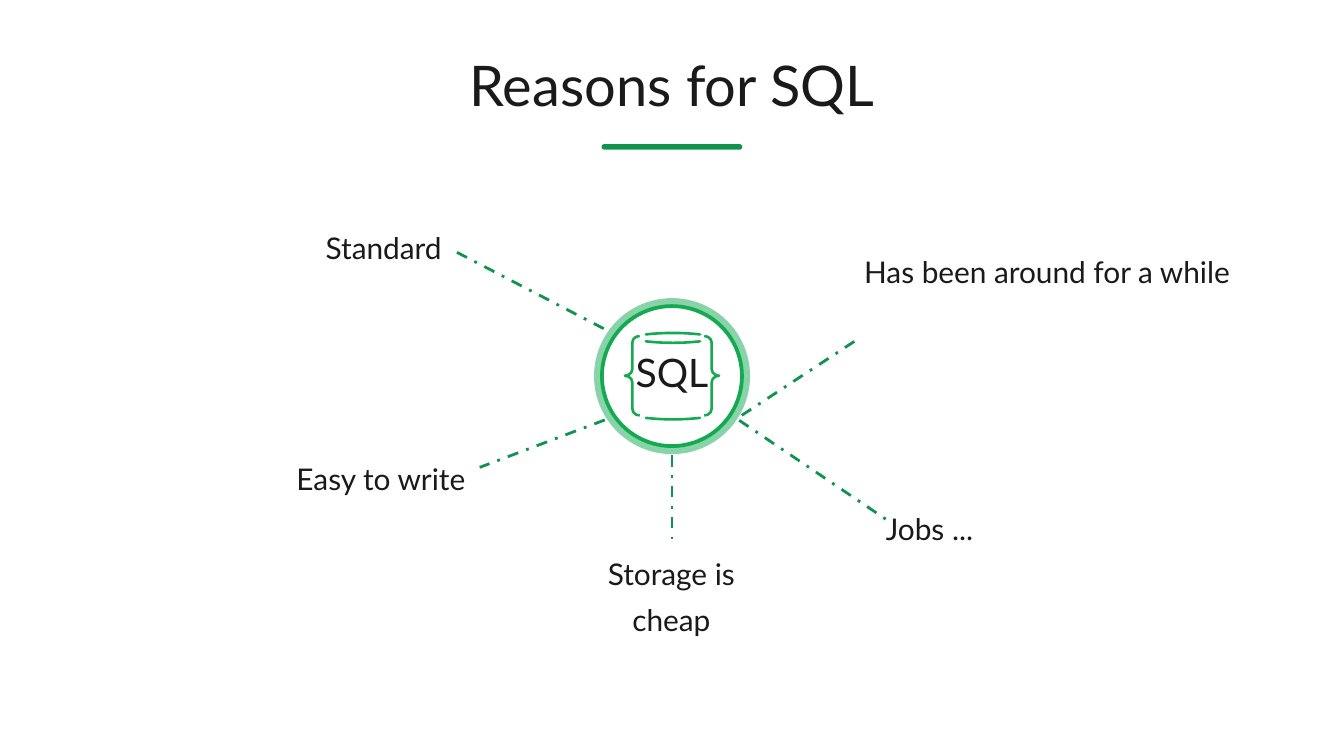
"""Build a slide with five reasons for SQL around a central badge."""
from dataclasses import dataclass

from lxml import etree
from pptx import Presentation
from pptx import util as u
from pptx.dml.color import RGBColor
from pptx.enum import dml, shapes, text
from pptx.oxml import ns

Pt = u.Pt


@dataclass(frozen=True)
class Theme:
    ink: RGBColor = RGBColor(0x1A, 0x1A, 0x1A)
    paper: RGBColor = RGBColor(0xFF, 0xFF, 0xFF)
    dark: RGBColor = RGBColor(0x12, 0x92, 0x4F)
    green: RGBColor = RGBColor(0x13, 0xAA, 0x52)
    pale: RGBColor = RGBColor(0x88, 0xD4, 0xA8)
    font: str = "Lato"
    title: int = 30
    badge: int = 21
    label: int = 16


theme = Theme()


def write(box, words, size, align, spacing=1.0):
    frame = box.text_frame
    frame.word_wrap = True
    frame.auto_size = text.MSO_AUTO_SIZE.NONE
    frame.vertical_anchor = text.MSO_ANCHOR.TOP
    frame.margin_left = frame.margin_right = Pt(3)
    frame.margin_top = frame.margin_bottom = Pt(3)
    para = frame.paragraphs[0]
    para.alignment = align
    para.line_spacing = spacing
    span = para.add_run()
    span.text = words
    span.font.name = theme.font
    span.font.size = Pt(size)
    span.font.color.rgb = theme.ink


def paint(shape, fill=None, line=None, width=0):
    shape.shadow.inherit = False
    if fill is None:
        shape.fill.background()
    else:
        shape.fill.solid()
        shape.fill.fore_color.rgb = fill
    if line is None:
        shape.line.fill.background()
    else:
        shape.line.color.rgb = line
        shape.line.width = Pt(width)


deck = Presentation()
deck.slide_width, deck.slide_height = Pt(720), Pt(405)
page = deck.slides.add_slide(deck.slide_layouts[5])
left, center, right = text.PP_ALIGN.LEFT, text.PP_ALIGN.CENTER, text.PP_ALIGN.RIGHT

title = page.shapes.title
title.left, title.top, title.width, title.height = Pt(34.5), Pt(24), Pt(651), Pt(40)
write(title, "Reasons for SQL", theme.title, center)

underline = page.shapes.add_shape(
    shapes.MSO_SHAPE.ROUNDED_RECTANGLE, Pt(322.3), Pt(77.2), Pt(75.4), Pt(3))
underline.adjustments[0] = 0.5
paint(underline, theme.dark)

for diameter, color, width in [(78.6, theme.pale, 5), (75, theme.green, 2)]:
    ring = page.shapes.add_shape(
        shapes.MSO_SHAPE.OVAL, Pt(360 - diameter / 2), Pt(201.5 - diameter / 2),
        Pt(diameter), Pt(diameter))
    paint(ring, theme.paper, color, width)

spokes = [
    (397.4, 222.5, 460, 181.4),
    (244.8, 135.2, 326, 177.4),
    (324, 225, 257, 250.4),
    (360, 244, 360, 288.7),
    (396, 225.2, 475.2, 278.6),
]
for ends in spokes:
    spoke = page.shapes.add_connector(shapes.MSO_CONNECTOR.STRAIGHT, *map(Pt, ends))
    spoke.line.color.rgb = theme.dark
    spoke.line.width = Pt(1.5)
    spoke.line.dash_style = dml.MSO_LINE.DASH_DOT
    etree.SubElement(spoke.element.spPr, ns.qn("a:effectLst"))

reasons = [
    ("Standard", 47.5, 120.2, 192.2, 26.6, right, 1.0),
    ("Has been around for a while", 460, 127.4, 211, 26.6, left, 1.3),
    ("Easy to write ", 92.2, 238.3, 164.2, 26.6, right, 1.3),
    ("Jobs ...", 471.6, 265, 195, 26.6, left, 1.3),
    ("Storage is cheap", 304.6, 288.7, 110.2, 54, center, 1.3),
]
for words, x, y, w, h, align, spacing in reasons:
    label = page.shapes.add_textbox(Pt(x), Pt(y), Pt(w), Pt(h))
    write(label, words, theme.label, align, spacing)

braces = [(shapes.MSO_SHAPE.LEFT_BRACE, 334.8), (shapes.MSO_SHAPE.RIGHT_BRACE, 377.3)]
for kind, x in braces:
    brace = page.shapes.add_shape(kind, Pt(x), Pt(180), Pt(7.9), Pt(42.6))
    brace.adjustments[0] = 0.45
    paint(brace, line=theme.green, width=1.4)

for y, bulge in [(179.2, -0.8), (182.9, 0.8), (223.9, 0.8)]:
    points = [(Pt(360.5 + 14.5 * t / 8), Pt(y + bulge * (1 - (t / 8) ** 2)))
              for t in range(-8, 9)]
    builder = page.shapes.build_freeform(*points[0])
    builder.add_line_segments(points[1:], close=False)
    rim = builder.convert_to_shape()
    paint(rim, line=theme.green, width=1.4)
    rim.line._get_or_add_ln().set("cap", "rnd")

badge = page.shapes.add_textbox(Pt(328.7), Pt(183.6), Pt(62.6), Pt(37.4))
write(badge, "SQL", theme.badge, center)

deck.save("out.pptx")
